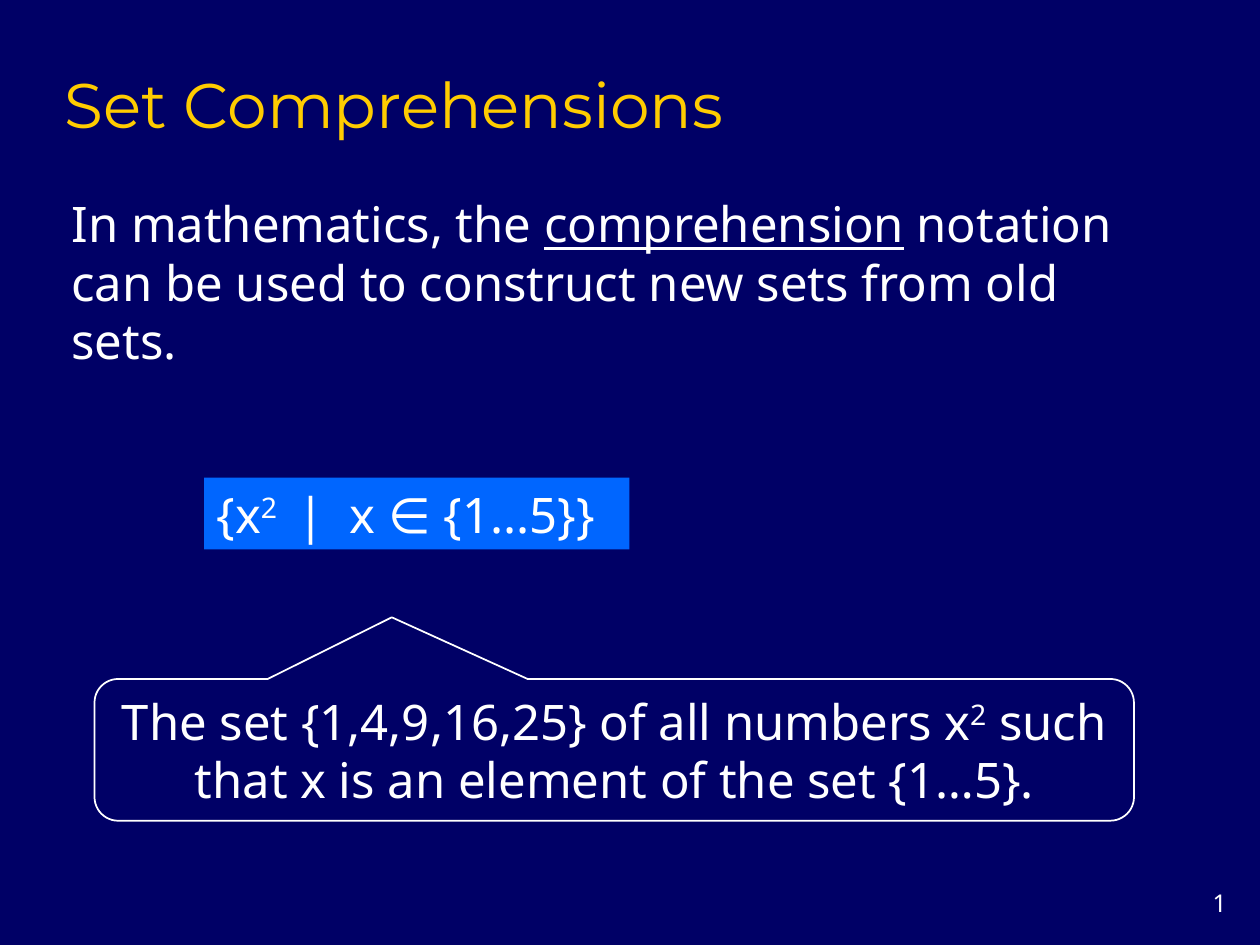
import pptx
import pptx.dml.color
import pptx.enum.shapes
import pptx.enum.text
import pptx.util

Pt = pptx.util.Pt
SHAPE = pptx.enum.shapes.MSO_SHAPE
ALIGN = pptx.enum.text.PP_ALIGN
ANCHOR = pptx.enum.text.MSO_ANCHOR

COLORS = {"background": "000066", "title": "FFCC00", "text": "FFFFFF", "formula": "0066FF"}
HEADING_FONT, BODY_FONT = "Montserrat", "Noto Sans"

# Content: runs are (text, style), where style is "", "underline" or "superscript"
TITLE = [("Set Comprehensions", "")]
INTRODUCTION = [
    ("In mathematics, the ", ""),
    ("comprehension", "underline"),
    (" notation can be used to construct new sets from old sets.", ""),
]
FORMULA = [("{x", ""), ("2 ", "superscript"), (" |  x ∈ {1...5}}", "")]
EXPLANATION = [
    ("The set {1,4,9,16,25} of all numbers x", ""),
    ("2", "superscript"),
    (" such that x is an element of the set {1…5}.", ""),
]
PAGE_NUMBER = [("1", "")]


def color(name):
    return pptx.dml.color.RGBColor.from_string(COLORS[name])


def write(shape, runs, size=28, font=BODY_FONT, ink="text", align=ALIGN.LEFT, anchor=ANCHOR.MIDDLE):
    frame = shape.text_frame
    frame.word_wrap = True
    frame.vertical_anchor = anchor
    paragraph = frame.paragraphs[0]
    paragraph.alignment = align
    paragraph.font.size = Pt(size)
    paragraph.font.name = font
    paragraph.font.color.rgb = color(ink)
    for text, style in runs:
        run = paragraph.add_run()
        run.text = text
        if style == "underline":
            run.font.underline = True
        elif style == "superscript":
            run._r.get_or_add_rPr().set("baseline", "30000")


presentation = pptx.Presentation()
presentation.slide_width, presentation.slide_height = Pt(720), Pt(540)
slide = presentation.slides.add_slide(presentation.slide_layouts[6])
slide.background.fill.solid()
slide.background.fill.fore_color.rgb = color("background")


def add_text(box, runs, **style):
    write(slide.shapes.add_textbox(*map(Pt, box)), runs, **style)


def add_shape(kind, box):
    shape = slide.shapes.add_shape(kind, *map(Pt, box))
    shape.shadow.inherit = False
    return shape


# Title, introduction and page number
add_text((30, 30, 612, 54), TITLE, size=36, font=HEADING_FONT, ink="title", anchor=ANCHOR.BOTTOM)
add_text((33.75, 123.75, 644.5, 74.25), INTRODUCTION)
add_text((660, 504, 48, 24), PAGE_NUMBER, size=14, align=ALIGN.RIGHT, anchor=ANCHOR.TOP)

# Formula box
formula = add_shape(SHAPE.RECTANGLE, (116.6, 273, 243, 41))
formula.fill.solid()
formula.fill.fore_color.rgb = color("formula")
formula.line.fill.background()
write(formula, FORMULA)

# Callout pointing up at the formula
callout = add_shape(SHAPE.ROUNDED_RECTANGULAR_CALLOUT, (54, 388, 594, 81))
for index, value in enumerate((-0.214, -0.935, 0.167)):
    callout.adjustments[index] = value
callout.fill.background()
callout.line.color.rgb = color("text")
callout.line.width = Pt(1)
write(callout, EXPLANATION, align=ALIGN.CENTER)

presentation.save("out.pptx")
